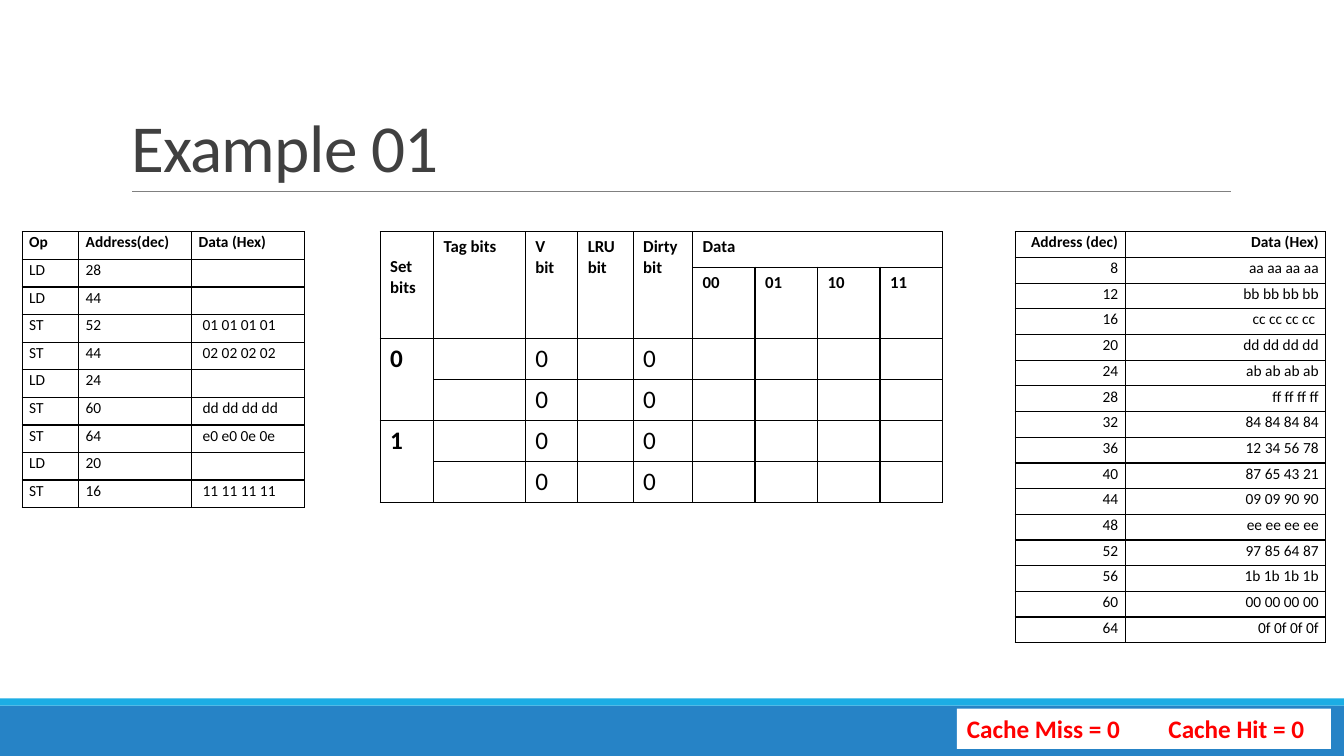
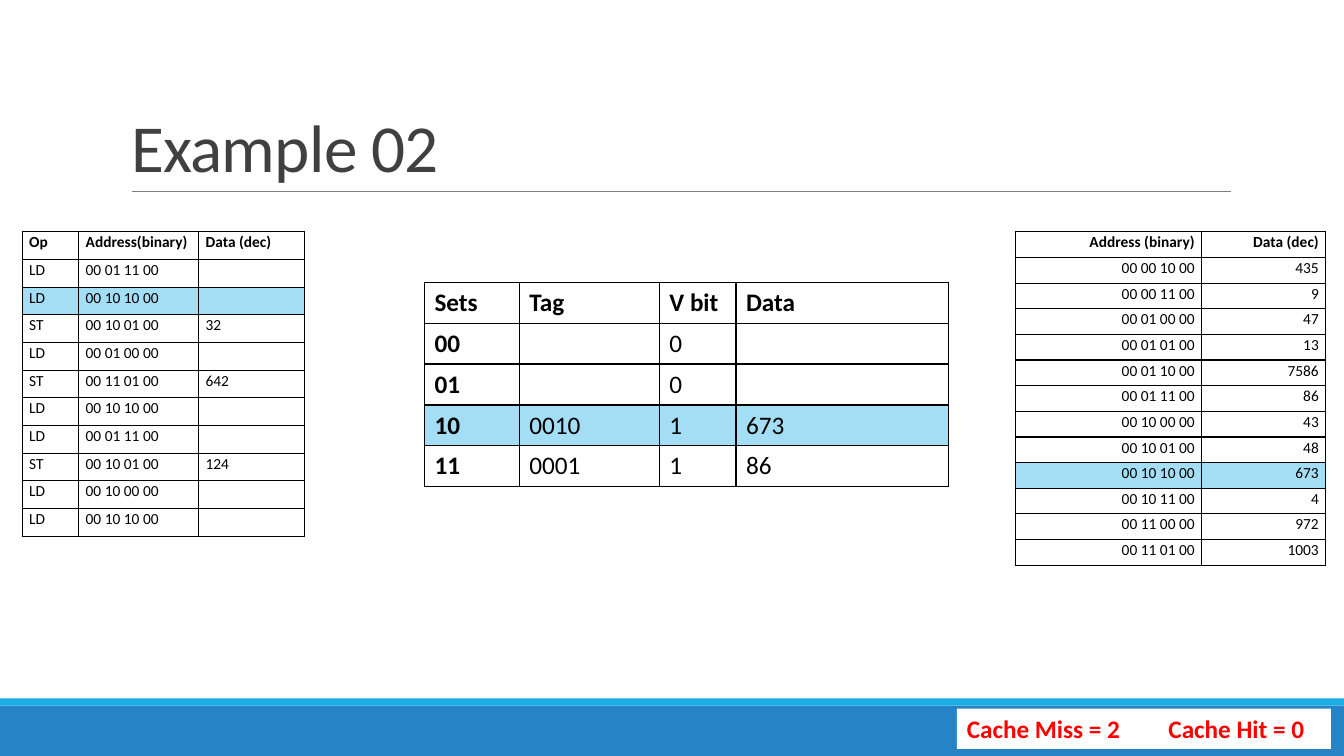
"""Build two cache example slides with operation, cache and memory tables."""
from dataclasses import dataclass

from lxml import etree
from pptx import Presentation
from pptx.dml.color import RGBColor
from pptx.enum import shapes, text
from pptx.oxml import ns
from pptx.util import Inches, Pt


@dataclass(frozen=True)
class Theme:
    font: str = "Calibri"
    title: str = "404040"
    ink: str = "000000"
    score: str = "FF0000"
    white: str = "FFFFFF"
    band: str = "2683C6"
    stripe: str = "1CADE4"
    rule: str = "808080"
    highlight: str = "A4DEF4"
    title_size: int = 48
    score_size: int = 18


THEME = Theme()
LEFT, RIGHT = text.PP_ALIGN.LEFT, text.PP_ALIGN.RIGHT

COMPACT = {"header_size": 11, "body_size": 11, "spacing": 1.07, "inset": (0.07, 0), "bold_first": False}
OPERATIONS = {**COMPACT, "left": 0.22, "top": 2.3, "align": LEFT}
MEMORY = {**COMPACT, "left": 10.07, "top": 2.3, "align": RIGHT}
CACHE = {"header_size": 18, "body_size": 18, "spacing": 1, "inset": (0.1, 0.05), "bold_first": True, "align": LEFT}

EMPTY_LINE = ["", "", "0", "", "0", "", "", "", ""]

SLIDES = [
    {
        "title": "Example 01",
        "score": "Cache Miss = 0\tCache Hit = 0",
        "tables": [
            {
                **MEMORY, "columns": [1.09, 1.99], "height": 4.08,
                "rows": [
                    ["Address (dec)", "Data (Hex)"],
                    ["8", "aa aa aa aa"], ["12", "bb bb bb bb"], ["16", "cc cc cc cc "],
                    ["20", "dd dd dd dd"], ["24", "ab ab ab ab"], ["28", "ff ff ff ff"],
                    ["32", "84 84 84 84"], ["36", "12 34 56 78"], ["40", "87 65 43 21"],
                    ["44", "09 09 90 90"], ["48", "ee ee ee ee"], ["52", "97 85 64 87"],
                    ["56", "1b 1b 1b 1b"], ["60", "00 00 00 00"], ["64", "0f 0f 0f 0f"],
                ],
            },
            {
                **CACHE, "left": 3.77, "top": 2.3, "header_size": 12, "header_rows": 2,
                "columns": [0.53, 0.91, 0.52, 0.55, 0.59] + [0.62] * 4,
                "height": 2.68, "row_heights": [0.35, 0.71] + [0.4] * 4,
                "merges": [((0, column), (1, column)) for column in range(5)]
                + [((0, 5), (0, 8)), ((2, 0), (3, 0)), ((4, 0), (5, 0))],
                "top_insets": {(0, 0): 0.25},
                "rows": [
                    ["Set bits", "Tag bits", "V bit", "LRU bit", "Dirty bit", "Data", "", "", ""],
                    ["", "", "", "", "", "00", "01", "10", "11"],
                    ["0", *EMPTY_LINE[1:]], EMPTY_LINE,
                    ["1", *EMPTY_LINE[1:]], EMPTY_LINE,
                ],
            },
            {
                **OPERATIONS, "columns": [0.56, 1.12, 1.12], "height": 2.74,
                "value_indent": 0.04,
                "rows": [
                    ["Op", "Address(dec)", "Data (Hex)"],
                    ["LD", "28", ""], ["LD", "44", ""], ["ST", "52", "01 01 01 01"],
                    ["ST", "44", "02 02 02 02"], ["LD", "24", ""], ["ST", "60", "dd dd dd dd"],
                    ["ST", "64", "e0 e0 0e 0e"], ["LD", "20", ""], ["ST", "16", "11 11 11 11"],
                ],
            },
        ],
    },
    {
        "title": "Example 02",
        "score": "Cache Miss = 2\tCache Hit = 0",
        "tables": [
            {
                **OPERATIONS, "columns": [0.56, 1.19, 1.05], "height": 3.02, "highlight": 2,
                "rows": [
                    ["Op", "Address(binary)", "Data (dec)"],
                    ["LD", "00 01 11 00", ""], ["LD", "00 10 10 00", ""],
                    ["ST", "00 10 01 00", "32"], ["LD", "00 01 00 00", ""],
                    ["ST", "00 11 01 00", "642"], ["LD", "00 10 10 00", ""],
                    ["LD", "00 01 11 00", ""], ["ST", "00 10 01 00", "124"],
                    ["LD", "00 10 00 00", ""], ["LD", "00 10 10 00", ""],
                ],
            },
            {
                **MEMORY, "columns": [1.85, 1.23], "height": 3.31, "highlight": 9,
                "rows": [
                    ["Address (binary)", "Data (dec)"],
                    ["00 00 10 00", "435"], ["00 00 11 00", "9"], ["00 01 00 00", "47"],
                    ["00 01 01 00", "13"], ["00 01 10 00", "7586"], ["00 01 11 00", "86"],
                    ["00 10 00 00", "43"], ["00 10 01 00", "48"], ["00 10 10 00", "673"],
                    ["00 10 11 00", "4"], ["00 11 00 00", "972"], ["00 11 01 00", "1003"],
                ],
            },
            {
                **CACHE, "left": 4.21, "top": 2.8, "columns": [0.94, 1.39, 0.76, 2.11],
                "height": 2.03, "highlight": 3,
                "rows": [
                    ["Sets", "Tag", "V bit", "Data"],
                    ["00", "", "0", ""], ["01", "", "0", ""],
                    ["10", "0010", "1", "673"], ["11", "0001", "1", "86"],
                ],
            },
        ],
    },
]


def rgb(value):
    return RGBColor.from_string(value)


def add_child(parent, tag, **attributes):
    return etree.SubElement(parent, ns.qn(tag), **attributes)


def style_runs(para, size, colour, bold=False):
    for span in para.runs:
        font = span.font
        font.name, font.size, font.bold = THEME.font, Pt(size), bold
        font.color.rgb = rgb(colour)


def add_block(page, left, top, width, height, colour):
    block = page.shapes.add_shape(
        shapes.MSO_SHAPE.RECTANGLE, Inches(left), Inches(top), Inches(width), Inches(height))
    block.shadow.inherit = False
    block.fill.solid()
    block.fill.fore_color.rgb = rgb(colour)
    block.line.fill.background()
    return block


def add_frame(page):
    """Draw the bands and title rule once and keep them on the shared layout."""
    band = add_block(page, 0, 7, 13.33, 0.5, THEME.band)
    stripe = add_block(page, 0, 6.93, 13.33, 0.07, THEME.stripe)
    rule = page.shapes.add_connector(
        shapes.MSO_CONNECTOR.STRAIGHT, Inches(1.31), Inches(1.9), Inches(12.21), Inches(1.9))
    rule.line.color.rgb = rgb(THEME.rule)
    rule.line.width = Pt(0.5)
    add_child(rule._element.spPr, "a:effectLst")
    for part in (band, stripe, rule):
        page.slide_layout.shapes._spTree.append(part._element)


def set_title(page, words):
    title = page.shapes.title
    title.left, title.top, title.width, title.height = (Inches(n) for n in (1.2, 0.31, 11, 1.59))
    frame = title.text_frame
    frame.text = words
    frame.word_wrap = True
    frame.auto_size = text.MSO_AUTO_SIZE.NONE
    frame.vertical_anchor = text.MSO_ANCHOR.BOTTOM
    para = frame.paragraphs[0]
    para.alignment, para.line_spacing = LEFT, 0.85
    style_runs(para, THEME.title_size, THEME.title)
    para.runs[0]._r.get_or_add_rPr().set("spc", "-50")


def add_score(page, words):
    box = add_block(page, 9.49, 7.03, 3.71, 0.4, THEME.white)
    box.text_frame.word_wrap = True
    para = box.text_frame.paragraphs[0]
    para.text = words
    para.alignment = LEFT
    tabs = add_child(para._p.get_or_add_pPr(), "a:tabLst")
    add_child(tabs, "a:tab", pos=str(Inches(2)), algn="l")
    style_runs(para, THEME.score_size, THEME.score, bold=True)


def add_borders(cell):
    properties = cell._tc.get_or_add_tcPr()
    for side in "LRTB":
        line = add_child(properties, f"a:ln{side}", w=str(Pt(1)))
        add_child(add_child(line, "a:solidFill"), "a:srgbClr", val=THEME.ink)


def style_cell(cell, words, spec, row, column):
    is_header = row < spec.get("header_rows", 1)
    size = spec["header_size"] if is_header else spec["body_size"]
    side, edge = spec["inset"]
    indent = spec.get("value_indent", 0) if column == 2 and not is_header else 0
    cell.margin_left, cell.margin_right = Inches(side + indent), Inches(side)
    cell.margin_top = Inches(spec.get("top_insets", {}).get((row, column), edge))
    cell.margin_bottom = Inches(edge)
    add_borders(cell)
    if row == spec.get("highlight"):
        cell.fill.solid()
        cell.fill.fore_color.rgb = rgb(THEME.highlight)
    else:
        cell.fill.background()
    para = cell.text_frame.paragraphs[0]
    para.alignment, para.line_spacing = spec["align"], spec["spacing"]
    if words:
        para.text = words
        style_runs(para, size, THEME.ink, is_header or (spec["bold_first"] and column == 0))
    else:
        add_child(para._p, "a:endParaRPr", sz=str(size * 100))


def add_grid(page, spec):
    rows, widths = spec["rows"], spec["columns"]
    table = page.shapes.add_table(
        len(rows), len(widths), Inches(spec["left"]), Inches(spec["top"]),
        Inches(sum(widths)), Inches(spec["height"])).table
    table.first_row = table.horz_banding = False
    for column, width in zip(table.columns, widths):
        column.width = Inches(width)
    for line, height in zip(table.rows, spec.get("row_heights", [])):
        line.height = Inches(height)
    for row, line in enumerate(rows):
        for column, words in enumerate(line):
            style_cell(table.cell(row, column), words, spec, row, column)
    for start, end in spec.get("merges", []):
        table.cell(*start).merge(table.cell(*end))


def main():
    deck = Presentation()
    deck.slide_width, deck.slide_height = Inches(13.33), Inches(7.5)
    layout = deck.slide_layouts.get_by_name("Title Only")
    for number, content in enumerate(SLIDES):
        page = deck.slides.add_slide(layout)
        if number == 0:
            add_frame(page)
        set_title(page, content["title"])
        for spec in content["tables"]:
            add_grid(page, spec)
        add_score(page, content["score"])
    deck.save("out.pptx")


if __name__ == "__main__":
    main()
